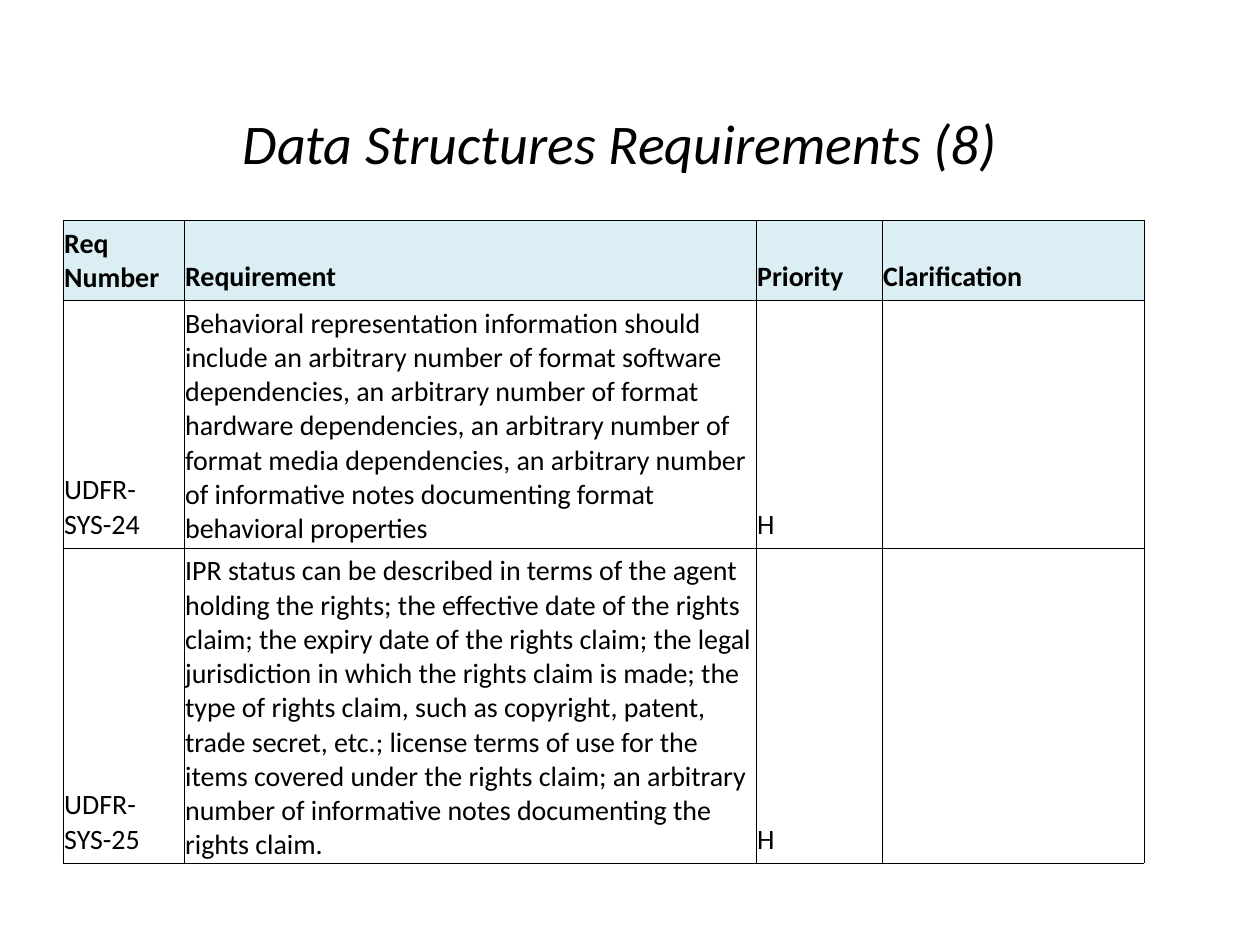
from lxml.etree import SubElement
from pptx import Presentation
from pptx.dml.color import RGBColor
from pptx.enum.text import MSO_ANCHOR, PP_ALIGN
from pptx.oxml.ns import qn
from pptx.util import Inches, Pt

WIDE, HIGH = 10, 7.5
BLACK = RGBColor(0x00, 0x00, 0x00)
PALE = RGBColor(0xDB, 0xEE, 0xF3)
FONT = "Calibri"

COLS = [0.96, 4.54, 1, 2.08]
ROWS = [0.53, 1.87, 2.4]
DATA = [
    ["Req Number", "Requirement", "Priority", "Clarification"],
    ["UDFR-SYS-24",
     "Behavioral representation information should include an arbitrary "
     "number of format software dependencies, an arbitrary number of format "
     "hardware dependencies, an arbitrary number of format media "
     "dependencies, an arbitrary number of informative notes documenting "
     "format behavioral properties",
     "H", ""],
    ["UDFR-SYS-25",
     "IPR status can be described in terms of the agent holding the rights; "
     "the effective date of the rights claim; the expiry date of the rights "
     "claim; the legal jurisdiction in which the rights claim is made; the "
     "type of rights claim, such as copyright, patent, trade secret, etc.; "
     "license terms of use for the items covered under the rights claim; an "
     "arbitrary number of informative notes documenting the rights claim.",
     "H", ""],
]


def style(frame, size, bold=False, italic=False):
    for para in frame.paragraphs:
        for run in para.runs:
            font = run.font
            font.name, font.size = FONT, Pt(size)
            font.bold, font.italic = bold, italic
            font.color.rgb = BLACK


def add_title(slide, text):
    box = slide.shapes.add_textbox(
        Inches(0.042 * WIDE), Inches(0.1 * HIGH),
        Inches(0.9 * WIDE), Inches(0.1 * HIGH))
    frame = box.text_frame
    frame.word_wrap = True
    frame.vertical_anchor = MSO_ANCHOR.MIDDLE
    frame.text = text
    frame.paragraphs[0].alignment = PP_ALIGN.CENTER
    style(frame, 32, italic=True)


def add_lines(cell):
    # Borders must come before the fill in the cell properties
    props = cell._tc.get_or_add_tcPr()
    for spot, side in enumerate(("lnL", "lnR", "lnT", "lnB")):
        line = SubElement(props, qn(f"a:{side}"), w=str(Pt(0.45)))
        fill = SubElement(line, qn("a:solidFill"))
        SubElement(fill, qn("a:srgbClr"), val=str(BLACK))
        props.insert(spot, line)


def fill_cell(cell, text, head):
    cell.margin_left = cell.margin_right = Inches(0.01)
    cell.margin_top = cell.margin_bottom = Inches(0.05)
    cell.vertical_anchor = MSO_ANCHOR.BOTTOM
    if head:
        cell.fill.solid()
        cell.fill.fore_color.rgb = PALE
    else:
        cell.fill.background()
    add_lines(cell)
    cell.text_frame.text = text
    style(cell.text_frame, 16, bold=head)


def add_grid(slide):
    table = slide.shapes.add_table(
        len(ROWS), len(COLS), Inches(0.05 * WIDE), Inches(1.75),
        Inches(sum(COLS)), Inches(sum(ROWS))).table
    table.horz_banding = table.first_row = False
    for col, width in zip(table.columns, COLS):
        col.width = Inches(width)
    for row, height, texts in zip(table.rows, ROWS, DATA):
        row.height = Inches(height)
        for cell, text in zip(row.cells, texts):
            fill_cell(cell, text, head=texts is DATA[0])


def main():
    deck = Presentation()
    deck.slide_width, deck.slide_height = Inches(WIDE), Inches(HIGH)
    slide = deck.slides.add_slide(deck.slide_layouts[6])
    # Heading, then the requirements table
    add_title(slide, "Data Structures Requirements (8)")
    add_grid(slide)
    deck.save("out.pptx")


if __name__ == "__main__":
    main()
